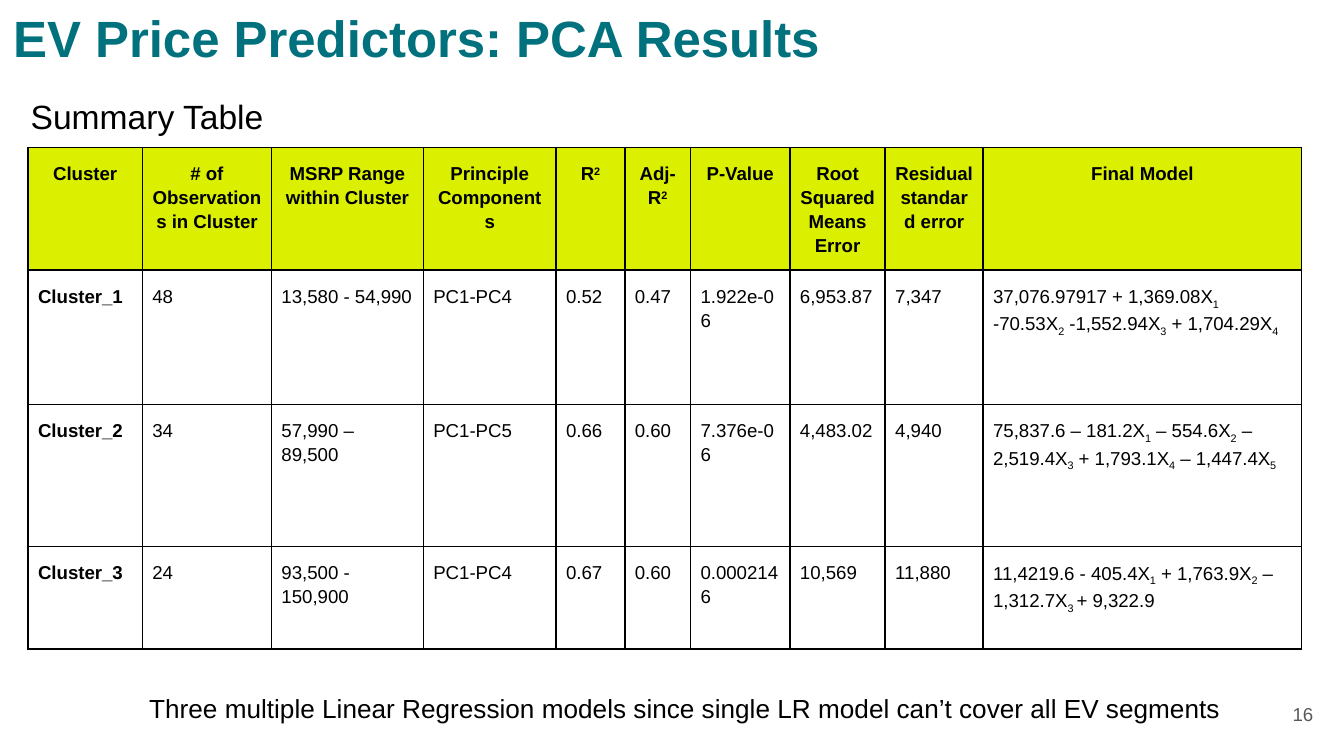
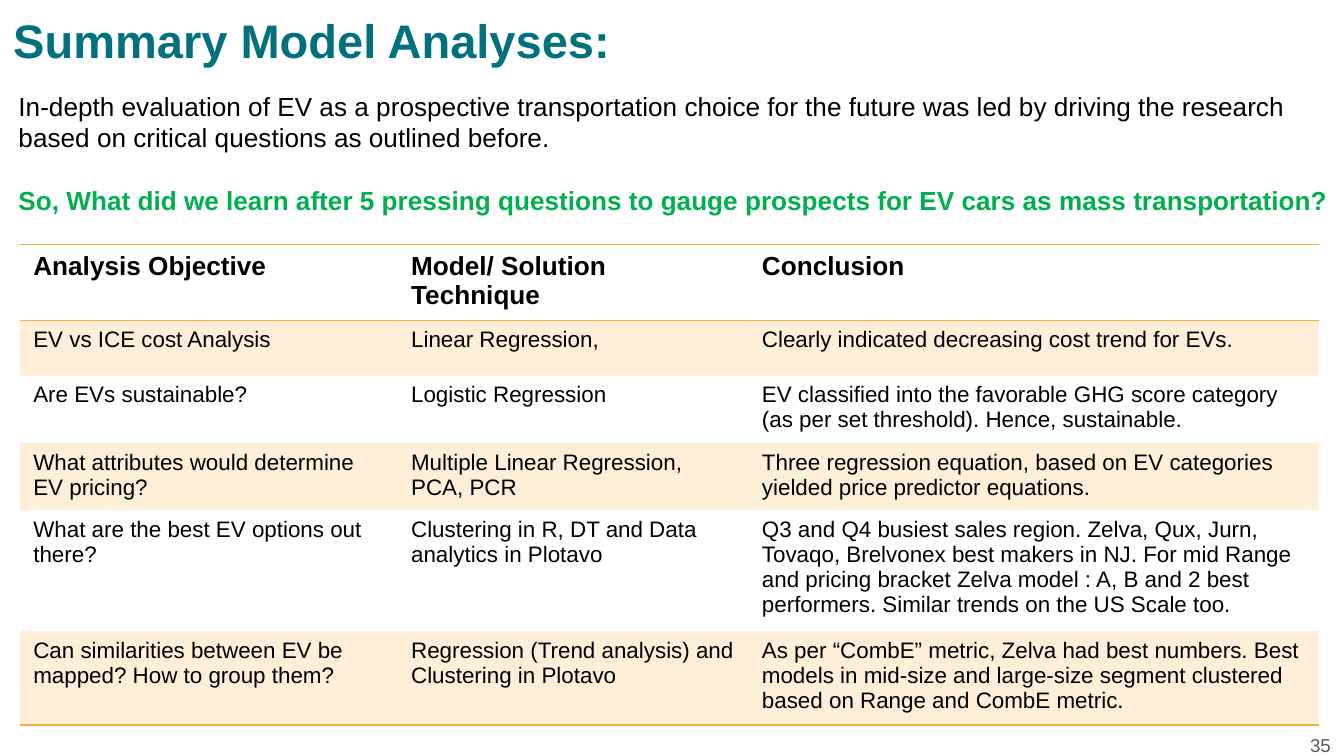
from dataclasses import dataclass

from lxml import etree
from pptx import Presentation
from pptx.dml.color import RGBColor
from pptx.enum.text import MSO_ANCHOR, MSO_AUTO_SIZE, PP_ALIGN
from pptx.oxml.ns import qn
from pptx.util import Cm, Pt

LEFT, CENTER, RIGHT = PP_ALIGN.LEFT, PP_ALIGN.CENTER, PP_ALIGN.RIGHT
TOP, MIDDLE = MSO_ANCHOR.TOP, MSO_ANCHOR.MIDDLE
FIXED = MSO_AUTO_SIZE.NONE
TITLE_ONLY = 5
PLAIN_STYLE = "{2D5ABB26-0587-4C30-8999-92F81FD0307C}"
SUPER, SUB = 30000, -25000
WIDE, SLIM, TIGHT = (0.25, 0.25), (0.25, 0.13), (0.19, 0.25)


@dataclass(frozen=True)
class Theme:
    font: str = "Arial"
    ink: str = "000000"
    teal: str = "00717D"
    green: str = "00B050"
    gray: str = "595959"
    lime: str = "DBF000"
    amber: str = "FFAB40"
    tint: int = 20
    lead: float = 18
    body: float = 14
    cell: float = 12
    small: float = 10


THEME = Theme()


def write(frame, text, size=THEME.body, color=THEME.ink, bold=False,
          align=LEFT, line=None, before=None, after=None, shift=SUB, more=False):
    para = frame.add_paragraph() if more else frame.paragraphs[0]
    para.alignment = align
    para.line_spacing = line
    if before is not None:
        para.space_before = Pt(before)
    if after is not None:
        para.space_after = Pt(after)
    for i, part in enumerate(text.split("~")):
        if not part:
            continue
        run = para.add_run()
        run.text = part
        run.font.name = THEME.font
        run.font.size = Pt(size)
        run.font.bold = bold
        run.font.color.rgb = RGBColor.from_string(color)
        if i % 2:
            run.font._element.set("baseline", str(shift))


class Deck:
    def __init__(self):
        self.prs = Presentation()
        self.prs.slide_width = Cm(25.4)
        self.prs.slide_height = Cm(14.29)
        self.slide = None

    def page(self, title, size, top=0, width=23.67, line=None):
        layout = self.prs.slide_layouts[TITLE_ONLY]
        self.slide = self.prs.slides.add_slide(layout)
        head = self.slide.shapes.title
        head.left, head.top = Cm(0), Cm(top)
        head.width, head.height = Cm(width), Cm(1.6)
        self.frame(head.text_frame, WIDE, TOP)
        write(head.text_frame, title, size=size, color=THEME.teal,
              bold=True, line=line)

    def frame(self, frame, pad, anchor):
        frame.word_wrap = True
        frame.auto_size = FIXED
        frame.vertical_anchor = anchor
        self.inset(frame, pad)

    def inset(self, item, pad):
        item.margin_left = item.margin_right = Cm(pad[0])
        item.margin_top = item.margin_bottom = Cm(pad[1])

    def text(self, box, text, pad=SLIM, anchor=TOP, **style):
        shape = self.slide.shapes.add_textbox(*map(Cm, box))
        self.frame(shape.text_frame, pad, anchor)
        write(shape.text_frame, text, **style)
        return shape.text_frame

    def number(self, left, top, text):
        self.text((left, top, 1.52, 1.09), text, pad=WIDE, anchor=MIDDLE,
                  size=THEME.small, color=THEME.gray, align=RIGHT)

    def table(self, left, top, cols, rows):
        shape = self.slide.shapes.add_table(
            len(rows), len(cols), Cm(left), Cm(top), Cm(sum(cols)), Cm(sum(rows)))
        grid = shape.table
        grid.first_row = grid.horz_banding = False
        grid._tbl.tblPr.find(qn("a:tableStyleId")).text = PLAIN_STYLE
        for col, width in zip(grid.columns, cols):
            col.width = Cm(width)
        for row, height in zip(grid.rows, rows):
            row.height = Cm(height)
        return grid

    def cell(self, cell, text, pad=SLIM, fill=None, alpha=None,
             sides="", edge=THEME.ink, **style):
        self.inset(cell, pad)
        write(cell.text_frame, text, **style)
        props = cell._tc.get_or_add_tcPr()
        if fill:
            cell.fill.solid()
            cell.fill.fore_color.rgb = RGBColor.from_string(fill)
            if alpha:
                tone = props.find(".//" + qn("a:srgbClr"))
                etree.SubElement(tone, qn("a:alpha"), val=str(alpha * 1000))
        else:
            cell.fill.background()
        for i, side in enumerate(sides):
            rule = etree.Element(qn("a:ln" + side), w=str(Pt(1)))
            paint = etree.SubElement(rule, qn("a:solidFill"))
            etree.SubElement(paint, qn("a:srgbClr"), val=edge)
            props.insert(i, rule)


PCA_COLS = (2.16, 2.44, 2.87, 2.51, 1.3, 1.24, 1.88, 1.8, 1.85, 6.02)
PCA_ROWS = (2.24, 2.54, 2.69, 1.93)
PCA = (
    ("Cluster", "# of Observations in Cluster", "MSRP Range within Cluster",
     "Principle Components", "R~2~", "Adj-R~2~", "P-Value",
     "Root Squared Means Error", "Residual standard error", "Final Model"),
    ("Cluster_1", "48", "13,580 - 54,990", "PC1-PC4", "0.52", "0.47",
     "1.922e-06", "6,953.87", "7,347",
     "37,076.97917 + 1,369.08X~1~ -70.53X~2~ -1,552.94X~3~ + 1,704.29X~4~"),
    ("Cluster_2", "34", "57,990 – 89,500", "PC1-PC5", "0.66", "0.60",
     "7.376e-06", "4,483.02", "4,940",
     "75,837.6 – 181.2X~1~ – 554.6X~2~ – 2,519.4X~3~ + 1,793.1X~4~ – 1,447.4X~5~"),
    ("Cluster_3", "24", "93,500 - 150,900", "PC1-PC4", "0.67", "0.60",
     "0.0002146", "10,569", "11,880",
     "11,4219.6 - 405.4X~1~ + 1,763.9X~2~ – 1,312.7X~3 ~+ 9,322.9"),
)

SUM_COLS = (7.14, 6.63, 10.77)
SUM_ROWS = (1.44, 1.04, 1.27, 1.27, 2.29, 1.77)
SUMMARY = (
    ("Analysis Objective", "Model/ Solution Technique", "Conclusion"),
    ("EV vs ICE cost Analysis", "Linear Regression,",
     "Clearly indicated decreasing cost trend for EVs."),
    ("Are EVs sustainable?", "Logistic Regression",
     "EV classified into the favorable GHG score category (as per set "
     "threshold). Hence, sustainable."),
    ("What attributes would determine EV pricing?",
     "Multiple Linear Regression, PCA, PCR",
     "Three regression equation, based on EV categories yielded price "
     "predictor equations."),
    ("What are the best EV options out there?",
     "Clustering in R, DT and Data analytics in Plotavo",
     "Q3 and Q4 busiest sales region. Zelva, Qux, Jurn, Tovaqo, Brelvonex "
     "best makers in NJ. For mid Range and pricing bracket Zelva model : A, B "
     "and 2 best performers. Similar trends on the US Scale too."),
    ("Can similarities between EV be mapped? How to group them?",
     "Regression (Trend analysis) and Clustering in Plotavo",
     "As per “CombE” metric, Zelva had best numbers. Best models in mid-size "
     "and large-size segment clustered based on Range and CombE metric."),
)


def results(deck):
    deck.page("EV Price Predictors: PCA Results", 27.3, width=19.89, line=0.9)
    deck.text((0.33, 1.45, 23.67, 9.5), "Summary Table", pad=WIDE,
              size=THEME.lead, line=1.15, after=12)
    grid = deck.table(0.53, 2.79, PCA_COLS, PCA_ROWS)
    for r, row in enumerate(PCA):
        head = r == 0
        for c, text in enumerate(row):
            deck.cell(grid.cell(r, c), text, pad=TIGHT, sides="LRTB",
                      fill=THEME.lime if head else None,
                      size=THEME.small, bold=head or c == 0, line=1.15,
                      align=CENTER if head else LEFT,
                      shift=SUPER if head else SUB)
    deck.number(23.55, 12.95, "16")
    deck.text((2.57, 12.95, 21.51, 0.86),
              "Three multiple Linear Regression models since single LR model "
              "can’t cover all EV segments")


def summary(deck):
    deck.page("Summary Model Analyses:", 25.2, top=-0.03)
    intro = deck.text(
        (0.1, 1.57, 25.3, 2.64),
        "In-depth evaluation of EV as a prospective transportation choice for "
        "the future was led by driving the research based on critical "
        "questions as outlined before.")
    write(intro, "So, What did we learn after 5 pressing questions to gauge "
          "prospects for EV cars as mass transportation?",
          color=THEME.green, bold=True, before=17, more=True)
    grid = deck.table(0.38, 4.62, SUM_COLS, SUM_ROWS)
    last = len(SUMMARY) - 1
    for r, row in enumerate(SUMMARY):
        head = r == 0
        for c, text in enumerate(row):
            deck.cell(grid.cell(r, c), text, edge=THEME.amber,
                      sides={0: "TB", last: "B"}.get(r, ""),
                      fill=THEME.amber if r % 2 else None, alpha=THEME.tint,
                      size=THEME.body if head else THEME.cell, bold=head)
    deck.number(23.88, 13.54, "35")


def main():
    deck = Deck()
    results(deck)
    summary(deck)
    deck.prs.save("out.pptx")


if __name__ == "__main__":
    main()
